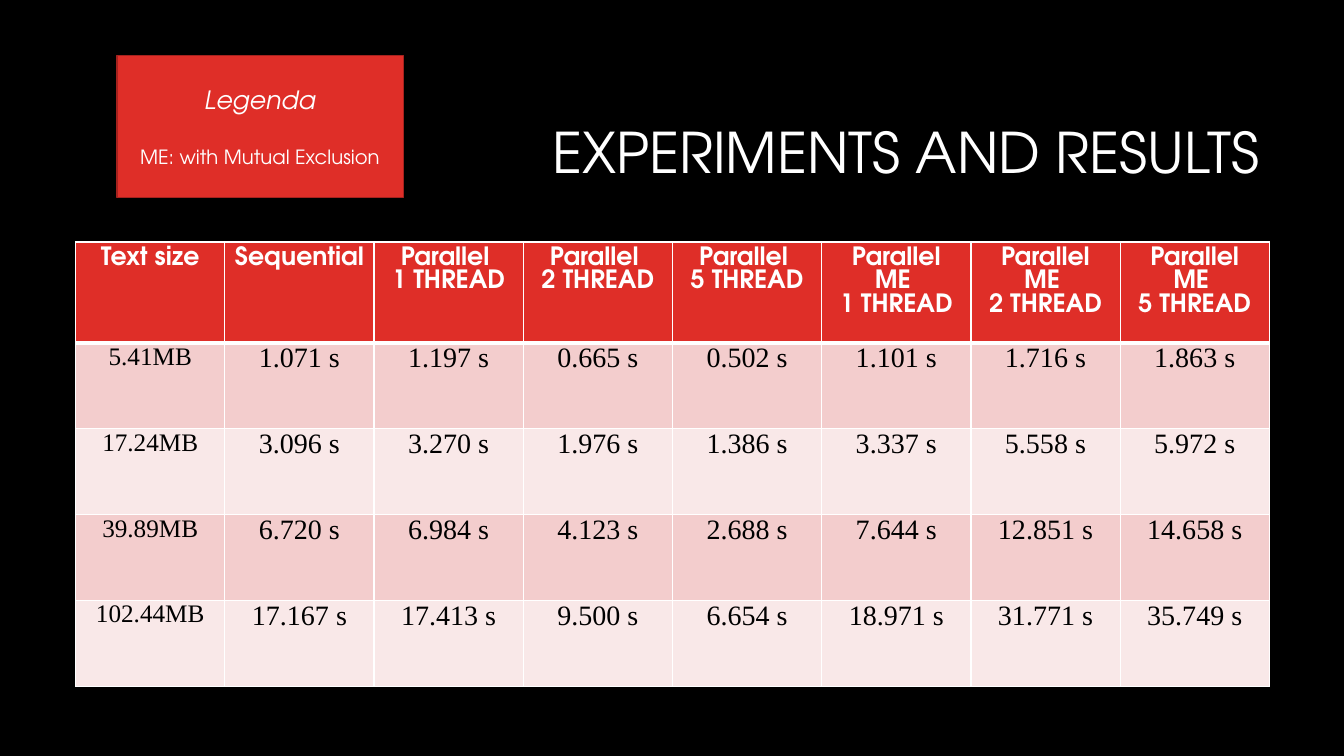
from lxml.etree import SubElement
from pptx import Presentation
from pptx.dml.color import RGBColor
from pptx.enum.shapes import MSO_SHAPE as Shape
from pptx.enum.text import MSO_ANCHOR as Anchor, PP_ALIGN as Align
from pptx.oxml.ns import qn
from pptx.util import Emu, Pt

COLORS = {
    "background": "000000", "white": "FFFFFF", "black": "000000",
    "red": "DF2E28", "dark_red": "A5221E",
    "bands": ["F3CDCD", "F9E8E8"],
}
SANS, SERIF = "TeX Gyre Adventor", "Times New Roman"
HEADERS = [
    ["Text size"], ["Sequential"],
    ["Parallel ", "1 THREAD"], ["Parallel ", "2 THREAD"], ["Parallel ", "5 THREAD"],
    ["Parallel ME ", "1 THREAD"], ["Parallel", "ME ", "2 THREAD"], ["Parallel", "ME ", "5 THREAD"],
]
RESULTS = [
    ["5.41MB", "1.071", "1.197", "0.665", "0.502", "1.101", "1.716", "1.863"],
    ["17.24MB", "3.096", "3.270", "1.976", "1.386", "3.337", "5.558", "5.972"],
    ["39.89MB", "6.720", "6.984", "4.123", "2.688", "7.644", "12.851", "14.658"],
    ["102.44MB", "17.167", "17.413", "9.500", "6.654", "18.971", "31.771", "35.749"],
]


def px(length):
    return Emu(length * 9144)


def rgb(name):
    return RGBColor.from_string(COLORS.get(name, name))


def set_all(target, values):
    for name, value in values.items():
        setattr(target, name, value)


def write_line(paragraph, text, color, font, layout):
    set_all(paragraph, layout)
    run = paragraph.add_run()
    run.text = text
    set_all(run.font, font)
    run.font.color.rgb = rgb(color)


def write_lines(frame, lines, color, font, layout):
    for index, text in enumerate(lines):
        paragraph = frame.add_paragraph() if index else frame.paragraphs[0]
        write_line(paragraph, text, color, font, layout)


def add_title(slide, box):
    frame = slide.shapes.add_textbox(*map(px, box)).text_frame
    set_all(frame, {"word_wrap": True, "vertical_anchor": Anchor.MIDDLE})
    write_lines(frame, ["EXPERIMENTS AND RESULTS"], "white",
                {"name": SANS, "size": Pt(40)},
                {"alignment": Align.RIGHT, "line_spacing": 0.9})


def add_legend(slide, box):
    shape = slide.shapes.add_shape(Shape.RECTANGLE, *map(px, box))
    shape.shadow.inherit = False
    shape.fill.solid()
    shape.fill.fore_color.rgb = rgb("red")
    shape.line.color.rgb = rgb("dark_red")
    shape.line.width = Pt(1)
    frame = shape.text_frame
    set_all(frame, {"word_wrap": True, "vertical_anchor": Anchor.MIDDLE})
    write_line(frame.paragraphs[0], "Legenda", "white",
               {"name": SANS, "size": Pt(18), "italic": True},
               {"alignment": Align.CENTER})
    write_line(frame.add_paragraph(), "ME: with Mutual Exclusion", "white",
               {"name": SANS, "size": Pt(14), "italic": False},
               {"alignment": Align.CENTER, "space_before": Pt(22)})


def style_cell(cell, fill, widths):
    properties = cell._tc.get_or_add_tcPr()
    for side, width in widths.items():
        line = SubElement(properties, qn(f"a:ln{side}"), w=str(Pt(width)))
        solid = SubElement(line, qn("a:solidFill"))
        SubElement(solid, qn("a:srgbClr"), val=COLORS["white"])
    cell.fill.solid()
    cell.fill.fore_color.rgb = rgb(fill)


def add_results(slide, box):
    row_count, column_count = len(RESULTS) + 1, len(HEADERS)
    table = slide.shapes.add_table(row_count, column_count, *map(px, box)).table
    for column in table.columns:
        column.width = px(box[2]) // column_count
    for row in table.rows:
        row.height = px(box[3]) // row_count

    for index, lines in enumerate(HEADERS):
        cell = table.cell(0, index)
        style_cell(cell, "red", {"L": 1, "R": 1, "T": 1, "B": 3})
        write_lines(cell.text_frame, lines, "white",
                    {"name": SANS, "size": Pt(18), "bold": True},
                    {"alignment": Align.CENTER})

    margins = {"margin_left": px(7), "margin_right": px(7), "margin_top": 0, "margin_bottom": 0}
    layout = {"alignment": Align.CENTER, "space_before": Pt(6), "space_after": Pt(6)}
    for row, values in enumerate(RESULTS, 1):
        band = COLORS["bands"][(row - 1) % 2]
        for index, value in enumerate(values):
            cell = table.cell(row, index)
            style_cell(cell, band, {"L": 1, "R": 1, "T": 3 if row == 1 else 1, "B": 1})
            set_all(cell, margins)
            write_lines(cell.text_frame, [f"{value} s" if index else value], "black",
                        {"name": SERIF, "size": Pt(20 if index else 18), "bold": False}, layout)


def main():
    presentation = Presentation()
    set_all(presentation, {"slide_width": px(1333), "slide_height": px(750)})
    slide = presentation.slides.add_slide(presentation.slide_layouts[6])
    slide.background.fill.solid()
    slide.background.fill.fore_color.rgb = rgb("background")
    add_title(slide, (317, 84, 942, 141))
    add_results(slide, (75, 240, 1184, 426))
    add_legend(slide, (116, 55, 284, 141))
    presentation.save("out.pptx")


if __name__ == "__main__":
    main()
